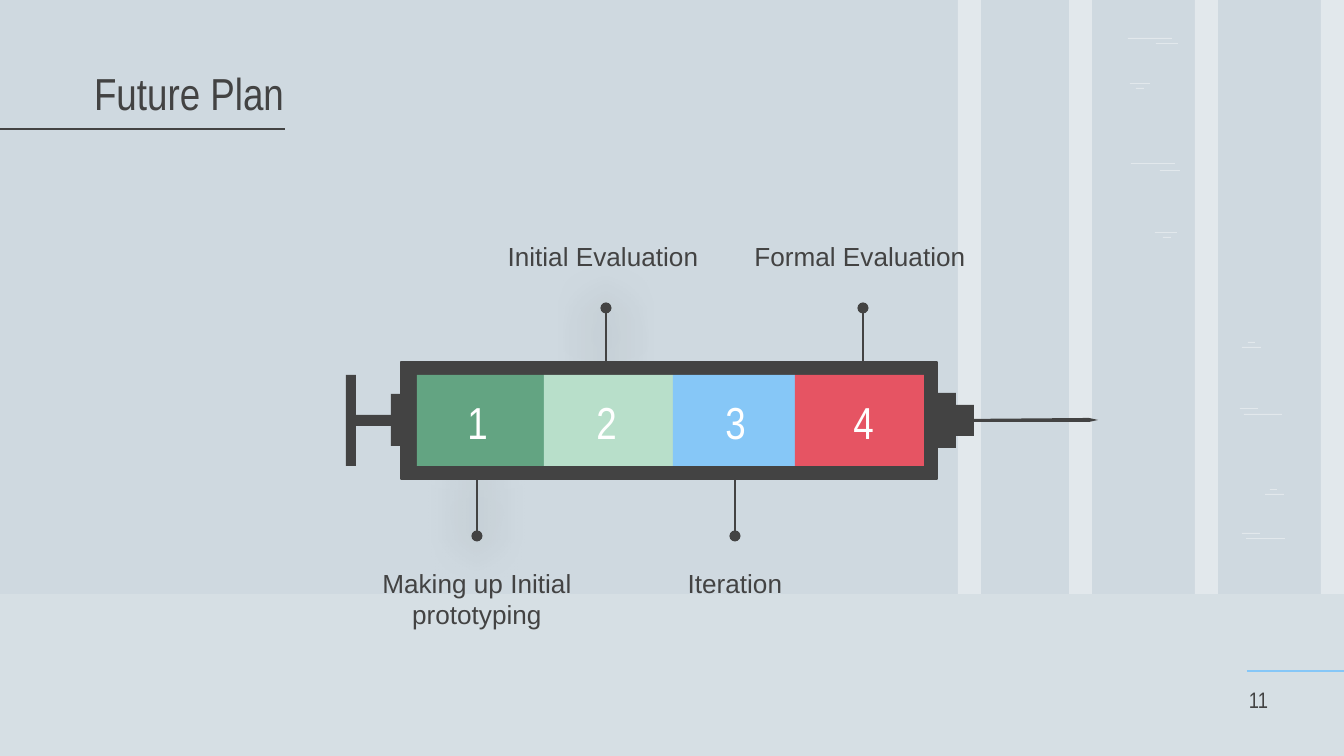
import pptx
import pptx.dml.color
import pptx.enum.shapes
import pptx.enum.text
import pptx.oxml
import pptx.oxml.ns
import pptx.util
from lxml import etree

SHAPE = pptx.enum.shapes.MSO_SHAPE
ALIGN = pptx.enum.text.PP_ALIGN
ANCHOR = pptx.enum.text.MSO_ANCHOR
A = pptx.oxml.ns.qn("a:x")[:-1]
EMU_PER_PX = 9144000 / 1344
INK, WHITE, BLUE = "434343", "FFFFFF", "86C7F7"
NARROW = {"name": "Arial Narrow", "size": pptx.util.Pt(24)}
PAGE = {"name": "Arial Narrow", "size": pptx.util.Pt(12)}
LABEL = {"name": "Arial", "size": pptx.util.Pt(14)}

# number, colour, label, pin x, pin start y, pin end y, label centre, label width, shadow
STAGES = [
    ("1", "63A482", "Making up Initial prototyping", 477, 452, 536, 477, 265, True),
    ("2", "B8DFCA", "Initial Evaluation", 606, 422, 308, 603, 265, True),
    ("3", BLUE, "Iteration", 735, 433, 536, 735, 280, False),
    ("4", "E65463", "Formal Evaluation", 863, 411, 308, 860, 280, False),
]


def px(length):
    return pptx.util.Emu(round(length * EMU_PER_PX))


def paint(color_format, color):
    color_format.rgb = pptx.dml.color.RGBColor.from_string(color)


def fill_shape(shape, color, opacity=100):
    shape.shadow.inherit = False
    shape.line.fill.background()
    shape.fill.solid()
    paint(shape.fill.fore_color, color)
    if opacity < 100:
        tint = shape.fill._xPr.find(f".//{A}srgbClr")
        etree.SubElement(tint, A + "alpha", val=str(opacity * 1000))


def block(slide, box, color, opacity=100):
    shape = slide.shapes.add_shape(SHAPE.RECTANGLE, *map(px, box))
    fill_shape(shape, color, opacity)
    return shape


def rule(slide, start, end, color, dotted=False, glow=False):
    """Line from start to end, with an optional dot at its end and soft shadow."""
    line = slide.shapes.add_connector(
        pptx.enum.shapes.MSO_CONNECTOR.STRAIGHT, *map(px, (*start, *end)))
    line.line.width = pptx.util.Pt(1.5)
    paint(line.line.color, color)
    properties = line._element.spPr
    if dotted:
        etree.SubElement(properties.find(A + "ln"), A + "tailEnd", type="oval")
    effects = etree.SubElement(properties, A + "effectLst")
    if glow:
        shadow = etree.SubElement(effects, A + "outerShdw", blurRad="356870",
                                  dist="19050", dir="5400000",
                                  algn="bl", rotWithShape="0")
        tint = etree.SubElement(shadow, A + "srgbClr", val="000000")
        etree.SubElement(tint, A + "alpha", val="73000")


def write(slide, box, text, font, color=INK, align=ALIGN.CENTER,
          anchor=ANCHOR.TOP, inset=13, space_after=0):
    frame = slide.shapes.add_textbox(*map(px, box)).text_frame
    settings = {"word_wrap": True, "vertical_anchor": anchor}
    settings.update((f"margin_{side}", px(inset))
                    for side in ("left", "top", "right", "bottom"))
    for name, value in settings.items():
        setattr(frame, name, value)
    paragraph = frame.paragraphs[0]
    paragraph.alignment = align
    paragraph.space_after = pptx.util.Pt(space_after)
    run = paragraph.add_run()
    run.text = text
    for name, value in font.items():
        setattr(run.font, name, value)
    paint(run.font.color, color)


def draw_trees(slide, left, top, height):
    """Pale trunks with thin bark marks, above the ground."""
    for x in (0, 111, 237, 363):
        block(slide, (left + x, top, 23, height), WHITE, 40)
    bark = [(170, 38, 44), (198, 43, 22), (173, 163, 44), (202, 170, 20),
            (172, 83, 20), (178, 88, 8), (197, 232, 22), (205, 237, 8),
            (288, 538, 39), (284, 533, 18), (286, 414, 38), (282, 408, 18),
            (307, 494, 19), (312, 489, 7), (284, 347, 19), (290, 342, 7)]
    for x, y, width in bark:
        block(slide, (left + x, top + y, width, 1), WHITE, 40)


def draw_pins(slide):
    for _, _, _, x, start, end, _, _, glow in STAGES:
        rule(slide, (x, start), (x, end), INK, True, glow)


def draw_syringe(slide, left, top):
    body = {
        "nozzle": (565, 32, 45, 55),
        "tip": (603, 44, 25, 31),
        "thumb rest": (0, 14, 10, 91),
        "rod": (8, 54, 42, 11),
        "collar": (45, 33, 10, 52),
    }
    for x, y, width, height in body.values():
        block(slide, (left + x, top + y, width, height), INK)

    needle = [(743, 61), (752, 59), (743, 57), (626, 58), (626, 61)]
    points = [(px(left + x), px(top + y)) for x, y in needle]
    outline = slide.shapes.build_freeform(*points[0])
    outline.add_line_segments(points[1:])
    fill_shape(outline.convert_to_shape(), INK)

    barrel = block(slide, (left + 55, top + 1, 536, 117), INK)
    barrel.line.width = pptx.util.Pt(0.75)
    paint(barrel.line.color, INK)

    edges = (71, 198, 327, 449, 578)
    for stage, start, end in zip(STAGES, edges, edges[1:]):
        block(slide, (left + start, top + 14, end - start, 91), stage[1])
    for number, _, _, x, *_ in STAGES:
        write(slide, (x - 40, top + 29, 81, 63), number, NARROW, WHITE,
              anchor=ANCHOR.MIDDLE, inset=0)


def draw_labels(slide, upper, lower):
    for _, _, label, _, start, end, centre, width, _ in STAGES:
        top = upper if end < start else lower
        write(slide, (centre - width / 2, top, width, 82), label, LABEL,
              space_after=16)


def draw_title(slide, left, top):
    rule(slide, (left, top + 40), (left + 288, top + 40), INK)
    write(slide, (left, top, 300, 43), "Future Plan", NARROW,
          align=ALIGN.RIGHT, anchor=ANCHOR.BOTTOM)


def draw_page_number(slide, left, top):
    rule(slide, (left + 11, top + 3), (left + 108, top + 3), BLUE)
    write(slide, (left, top, 47, 58), "11", PAGE,
          align=ALIGN.LEFT, anchor=ANCHOR.BOTTOM)


def main():
    deck = pptx.Presentation()
    deck.slide_width, deck.slide_height = px(1344), px(756)
    slide = deck.slides.add_slide(deck.slide_layouts[6])
    slide.background.fill.solid()
    paint(slide.background.fill.fore_color, "CFD9E0")

    draw_trees(slide, 958, 0, 594)
    block(slide, (0, 594, 1344, 162), WHITE, 16)
    draw_page_number(slide, 1236, 668)
    draw_pins(slide)
    draw_syringe(slide, 346, 361)
    draw_title(slide, -3, 89)
    draw_labels(slide, 227, 554)
    deck.save("out.pptx")


if __name__ == "__main__":
    main()
